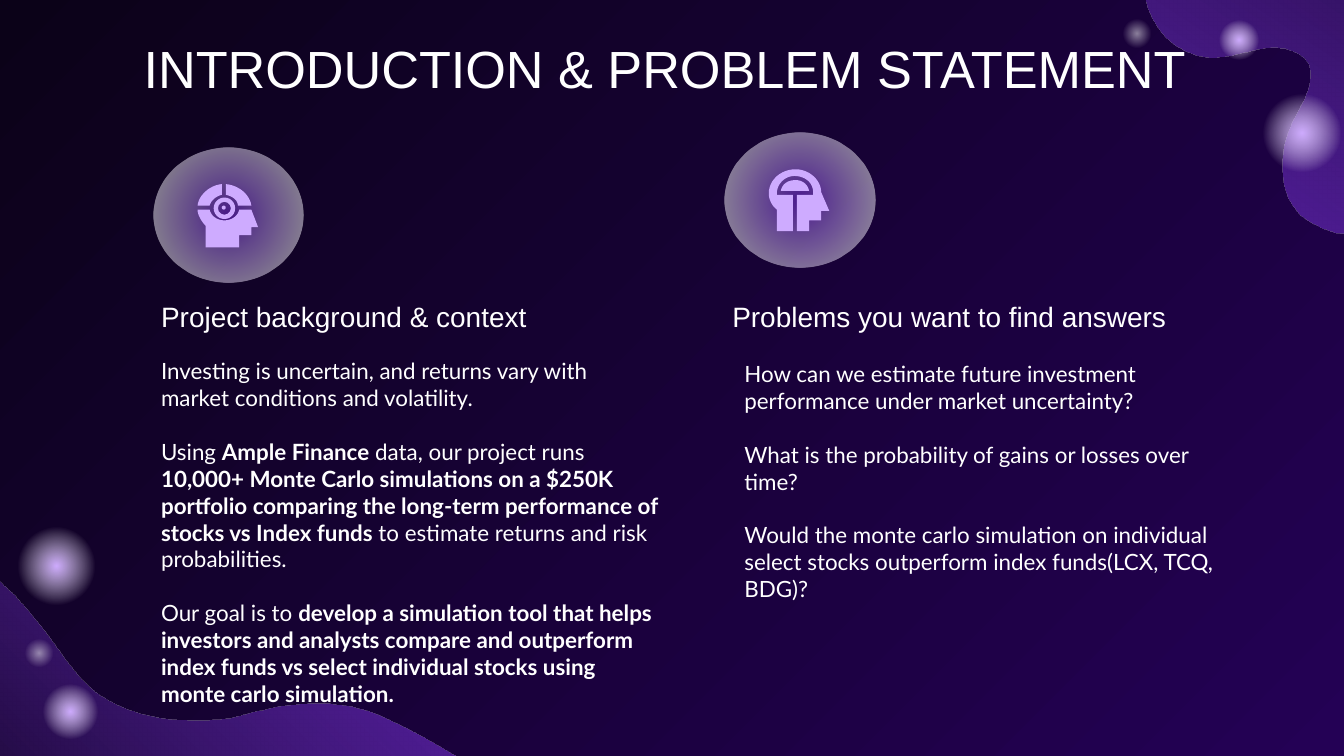
"""Build the introduction and problem statement slide."""
from pptx import Presentation
from pptx.dml.color import RGBColor
from pptx.enum.shapes import MSO_SHAPE as Preset
from pptx.enum.text import MSO_ANCHOR as Anchor, PP_ALIGN as Align
from pptx.oxml import parse_xml
from pptx.oxml.ns import nsdecls
from pptx.util import Inches, Pt

DARK, PURPLE, LILAC, WHITE = "0B0218", "8134EC", "CEABFF", "FFFFFF"


def paint(shape, stops, angle=None):
    """Fill with (position, hex, opacity) stops; radial when no angle is given."""
    shape.shadow.inherit = False
    shape.line.fill.background()
    if len(stops) == 1:
        shape.fill.solid()
        shape.fill.fore_color.rgb = RGBColor.from_string(stops[0][1])
        return
    marks = "".join(
        f'<a:gs pos="{place * 1000}"><a:srgbClr val="{color}">'
        f'<a:alpha val="{opacity * 1000}"/></a:srgbClr></a:gs>'
        for place, color, opacity in stops)
    if angle is None:
        course = ('<a:path path="circle"><a:fillToRect l="50000" t="50000" '
                  'r="50000" b="50000"/></a:path>')
    else:
        course = f'<a:lin ang="{angle * 60000}" scaled="0"/>'
    shape.element.spPr.insert(2, parse_xml(
        f'<a:gradFill {nsdecls("a")} rotWithShape="1">'
        f'<a:gsLst>{marks}</a:gsLst>{course}</a:gradFill>'))


def write(box, text, size, font="Arial", color=WHITE, align=Align.LEFT, gap=0, top=0.1):
    """Write one paragraph per line; words between double stars are bold."""
    frame = box.text_frame
    frame.word_wrap = True
    frame.vertical_anchor = Anchor.TOP
    frame.margin_left = frame.margin_right = frame.margin_bottom = Inches(0.1)
    frame.margin_top = Inches(top)
    for number, line in enumerate(text.split("\n")):
        para = frame.add_paragraph() if number else frame.paragraphs[0]
        para.alignment = align
        para.space_before = Pt(gap if number else 0)
        for index, words in enumerate(line.split("**")):
            if words:
                span = para.add_run()
                span.text = words
                span.font.name = font
                span.font.size = Pt(size)
                span.font.bold = index % 2 == 1
                span.font.color.rgb = RGBColor.from_string(color)


deck = Presentation()
deck.slide_width, deck.slide_height = Inches(10), Inches(10 * 9 / 16)
page = deck.slides.add_slide(deck.slide_layouts[5])
shapes = page.shapes

backdrop = page.background.fill
backdrop.gradient()
backdrop.gradient_angle = 315
for stop, color in zip(backdrop.gradient_stops, (DARK, "240155")):
    stop.color.rgb = RGBColor.from_string(color)

for left, top in ((1.14, 1.1), (5.39, 0.99)):
    disc = shapes.add_shape(Preset.OVAL, Inches(left), Inches(top), Inches(1.12), Inches(1))
    paint(disc, [(0, PURPLE, 49), (77, WHITE, 49), (100, WHITE, 49)])

corner_wave = [
    (8.28, -0.9), (8.35, -0.84, 8.42, -0.76, 8.45, -0.68),
    (8.5, -0.56, 8.5, -0.43, 8.5, -0.29), (8.5, -0.2, 8.5, -0.11, 8.52, -0.02),
    (8.57, 0.21, 8.72, 0.37, 8.94, 0.42), (9.17, 0.47, 9.39, 0.29, 9.62, 0.38),
    (9.88, 0.48, 9.69, 0.76, 9.61, 0.92), (9.52, 1.11, 9.5, 1.4, 9.65, 1.57),
    (9.72, 1.65, 9.84, 1.7, 9.94, 1.73), (10.06, 1.75, 10.18, 1.72, 10.3, 1.74),
    (10.4, 1.75, 10.54, 1.8, 10.61, 1.89), (10.68, 1.99, 10.71, 2.11, 10.75, 2.22),
    (10.91, 2.66, 11.3, 3.05, 11.78, 3.14), (11.84, 3.15, 11.93, 3.16, 11.99, 3.14),
    (10.93, -1.81), (7.92, -1.09), (8.04, -1.08, 8.2, -0.97, 8.28, -0.9)]
bottom_wave = [
    (-0.29, 4.13), (-0.01, 4.28, 0.15, 4.46, 0.33, 4.69),
    (0.48, 4.89, 0.6, 5.11, 0.85, 5.23), (1.11, 5.36, 1.5, 5.39, 1.79, 5.32),
    (2.1, 5.23, 2.47, 5.18, 2.78, 5.3), (3.09, 5.43, 3.39, 5.62, 3.67, 5.79),
    (3.85, 5.91, 4.03, 6.03, 4.2, 6.17), (-1.29, 6.17), (-1.3, 3.93),
    (-1.24, 3.91, -1.17, 3.9, -1.1, 3.9), (-0.82, 3.9, -0.51, 4.02, -0.29, 4.13)]
face = [
    (1.87, 1.56), (1.78, 1.56), (1.77, 1.61, 1.72, 1.64, 1.67, 1.64),
    (1.62, 1.64, 1.57, 1.61, 1.56, 1.56), (1.47, 1.56),
    (1.47, 1.6, 1.5, 1.65, 1.53, 1.68), (1.53, 1.84), (1.78, 1.84),
    (1.78, 1.75), (1.87, 1.75), (1.87, 1.69), (1.92, 1.69)]
skull_back = [
    (1.56, 1.53), (1.57, 1.49, 1.61, 1.46, 1.65, 1.45), (1.65, 1.37),
    (1.56, 1.38, 1.48, 1.45, 1.47, 1.53)]
skull_front = [
    (1.68, 1.45), (1.73, 1.46, 1.77, 1.49, 1.77, 1.53), (1.87, 1.53),
    (1.86, 1.45, 1.78, 1.38, 1.68, 1.37)]
brain = [
    (5.92, 1.34), (5.86, 1.34, 5.82, 1.37, 5.81, 1.42), (6.02, 1.42),
    (6.01, 1.37, 5.97, 1.34, 5.92, 1.34)]
head = [
    (6.11, 1.43), (6.11, 1.34, 6.02, 1.26, 5.92, 1.26),
    (5.81, 1.26, 5.72, 1.34, 5.72, 1.44), (5.72, 1.48, 5.74, 1.53, 5.78, 1.56),
    (5.78, 1.72), (5.9, 1.72), (5.9, 1.45), (5.78, 1.45), (5.78, 1.44),
    (5.78, 1.37, 5.84, 1.31, 5.91, 1.31), (5.99, 1.31, 6.05, 1.36, 6.05, 1.43),
    (6.05, 1.45), (5.93, 1.45), (5.93, 1.72), (6.02, 1.72), (6.02, 1.64),
    (6.11, 1.64), (6.11, 1.57), (6.17, 1.57)]

wave_stops = [(0, DARK, 100), (100, PURPLE, 70)]
icon_stops = [(0, LILAC, 100)]
outlines = [(corner_wave, wave_stops, 123), (bottom_wave, wave_stops, 315)]
outlines += [(part, icon_stops, None) for part in (face, skull_back, skull_front, brain, head)]
steps = 12
for outline, stops, angle in outlines:
    points = [outline[0]]
    for segment in outline[1:]:
        if len(segment) == 2:
            points.append(segment)
            continue
        knots = [points[-1], segment[:2], segment[2:4], segment[4:]]
        for step in range(1, steps + 1):
            t = step / steps
            weights = ((1 - t) ** 3, 3 * t * (1 - t) ** 2, 3 * t * t * (1 - t), t ** 3)
            points.append(tuple(
                sum(weight * knot[axis] for weight, knot in zip(weights, knots))
                for axis in (0, 1)))
    corners = [(Inches(x), Inches(y)) for x, y in points]
    builder = shapes.build_freeform(*corners[0])
    builder.add_line_segments(corners[1:], close=True)
    paint(builder.convert_to_shape(), stops, angle)

for preset, left, top, size in ((Preset.DONUT, 1.59, 1.47, 0.16), (Preset.OVAL, 1.65, 1.53, 0.03)):
    eye = shapes.add_shape(preset, Inches(left), Inches(top), Inches(size), Inches(size))
    paint(eye, icon_stops)
    if preset == Preset.DONUT:
        eye.adjustments[0] = 0.2

for left, top, size, color, opacity in (
        (0.06, 3.85, 0.72, LILAC, 100), (0.27, 5.04, 0.51, LILAC, 100),
        (0.16, 4.73, 0.26, WHITE, 50), (9.04, 0.12, 0.36, LILAC, 100),
        (9.33, 0.63, 0.72, LILAC, 100), (8.33, 0.12, 0.26, WHITE, 50)):
    glow = shapes.add_shape(Preset.OVAL, Inches(left), Inches(top), Inches(size), Inches(size))
    paint(glow, [(0, color, opacity), (57, WHITE, 0), (100, WHITE, 0)])

title = shapes.title
title.left, title.top, title.width, title.height = map(Inches, (0.73, 0.17, 8.43, 0.63))
title.element.getparent().append(title.element)
write(title, "INTRODUCTION & PROBLEM STATEMENT", 28, align=Align.CENTER)

background = """Investing is uncertain, and returns vary with market conditions and volatility.
Using **Ample Finance** data, our project runs **10,000+ Monte Carlo simulations on a $250K portfolio comparing the long-term performance of stocks vs Index funds **to estimate returns and risk probabilities.
Our goal is to **develop a simulation tool that helps investors and analysts compare and outperform index funds vs select individual stocks using monte carlo simulation.**"""
questions = """How can we estimate future investment performance under market uncertainty?
What is the probability of gains or losses over time?
Would the monte carlo simulation on individual select stocks outperform index funds(LCX, TCQ, BDG)?"""
for place, text, style in (
        ((1.1, 2.56, 3.92, 2.66), background, dict(size=12, font="Lato", gap=14.4)),
        ((5.44, 2.58, 3.92, 2.66), questions, dict(size=12, font="Lato", gap=14.4)),
        ((5.35, 2.13, 4.61, 0.79), "Problems you want to find answers", dict(size=15)),
        ((1.1, 2.13, 4.09, 0.45), "Project background & context", dict(size=15))):
    write(shapes.add_textbox(*map(Inches, place)), text, **style)

deck.save("out.pptx")
